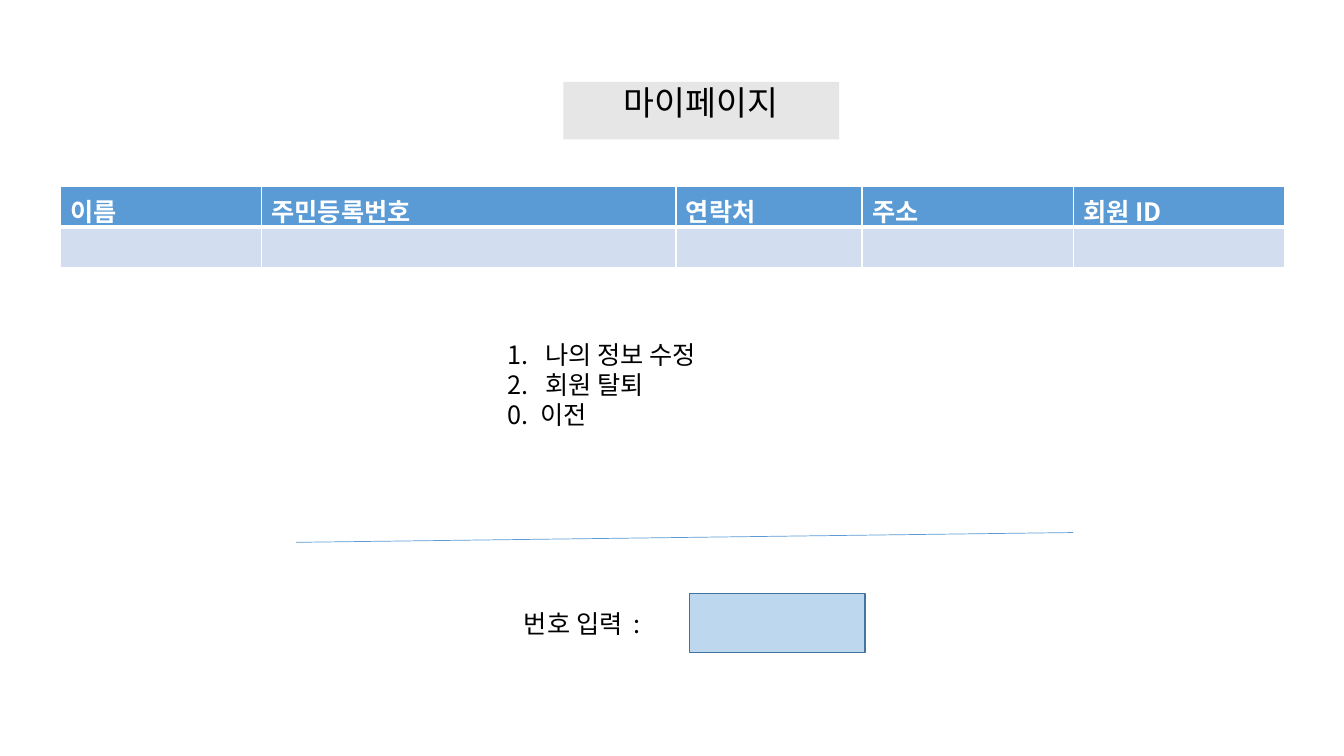
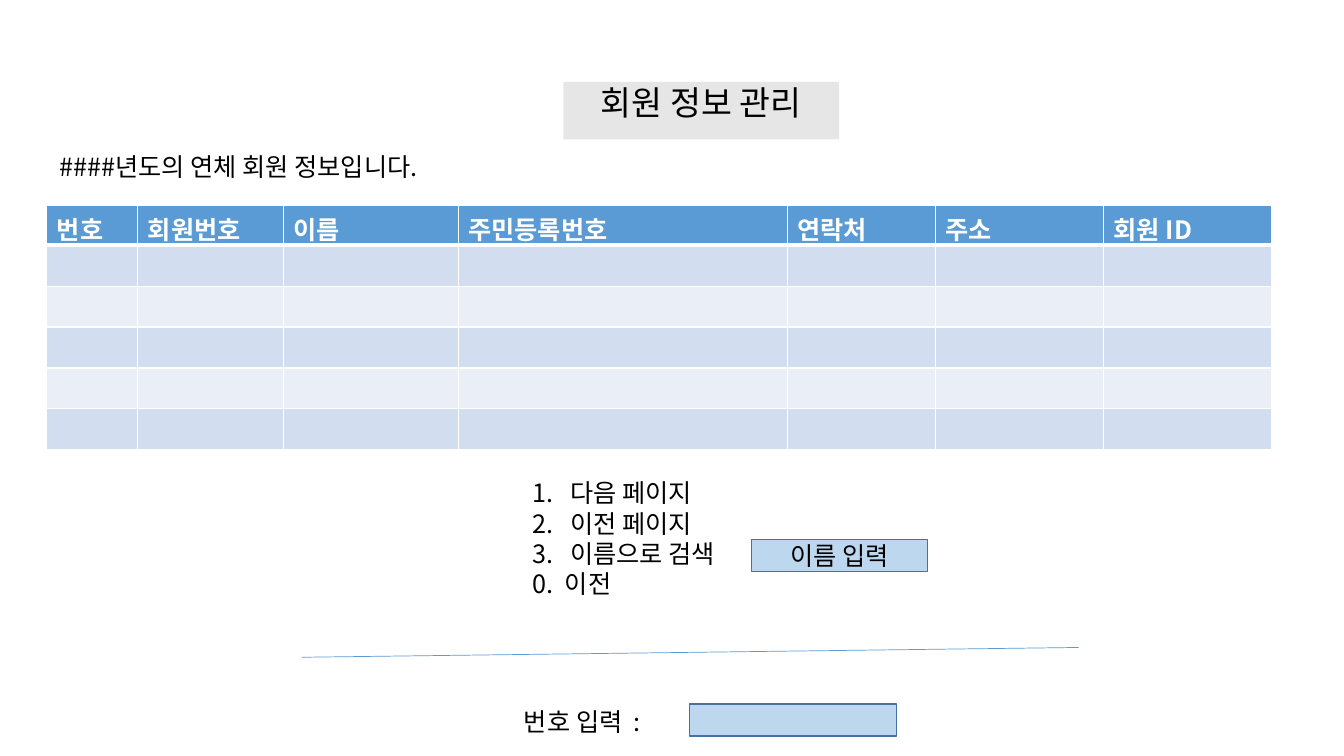
"""Build two member-management console screens."""
from pptx import Presentation
from pptx.dml.color import RGBColor
from pptx.enum import shapes as kinds, text as modes
from pptx.oxml.ns import qn
from pptx.util import Pt
from lxml import etree

FONT = "Noto Sans CJK KR"
BLACK, WHITE, GREY = "000000", "FFFFFF", "E7E6E6"
BLUE, PALE, EDGE = "5B9BD5", "BDD7EE", "43739E"
BANDS = ["EAEFF7", "D2DEEF"]
hue = RGBColor.from_string


def write(para, words, size=18, color=BLACK, bold=False):
    """Add one styled run."""
    run = para.add_run()
    run.text = words
    font = run.font
    font.name, font.size, font.bold = FONT, Pt(size), bold
    font.color.rgb = hue(color)
    etree.SubElement(font._element, qn("a:ea"), typeface=FONT)


def field(slide, left, top, width, height):
    """Add a pale input box and return its paragraph."""
    box = slide.shapes.add_shape(kinds.MSO_SHAPE.RECTANGLE, Pt(left), Pt(top), Pt(width), Pt(height))
    box.shadow.inherit = False
    box.fill.solid()
    box.fill.fore_color.rgb = hue(PALE)
    box.line.color.rgb = hue(EDGE)
    box.line.width = Pt(1)
    box.text_frame.vertical_anchor = modes.MSO_ANCHOR.MIDDLE
    para = box.text_frame.paragraphs[0]
    para.alignment = modes.PP_ALIGN.CENTER
    return para


screens = [
    dict(title="마이페이지", menu=["나의 정보 수정", "회원 탈퇴"], list=(355.5, 238.5, 267, 72.5),
         heads=["이름", "주민등록번호", "연락처", "주소", "회원 ID"],
         cols=[144, 296, 133, 151, 151], rows=1, grid=(42.8, 133.4),
         rule=(211.6, 387.4), ask=430.6, entry=(492.5, 424, 125.5, 42)),
    dict(title="회원 정보 관리", menu=["다음 페이지", "이전 페이지", "이름으로 검색"],
         list=(373.2, 337.6, 267, 94.5),
         heads=["번호", "회원번호", "이름", "주민등록번호", "연락처", "주소", "회원 ID"],
         cols=[65, 104, 125, 235, 106, 120, 120], rows=5, grid=(33.4, 146.4),
         rule=(215.5, 469.5), ask=501.2, entry=(492.5, 502.8, 148, 23),
         note="####년도의 연체 회원 정보입니다."),
]

deck = Presentation()
deck.slide_width, deck.slide_height = Pt(960), Pt(540)

for screen in screens:
    slide = deck.slides.add_slide(deck.slide_layouts[1])
    title, menu = slide.placeholders
    title.left, title.top, title.width, title.height = Pt(402.4), Pt(58.5), Pt(197), Pt(41)
    title.fill.solid()
    title.fill.fore_color.rgb = hue(GREY)
    title.text_frame.vertical_anchor = modes.MSO_ANCHOR.TOP
    title.text_frame.auto_size = modes.MSO_AUTO_SIZE.NONE
    para = title.text_frame.paragraphs[0]
    para.alignment = modes.PP_ALIGN.CENTER
    para.line_spacing, para.space_before = 0.9, Pt(10)
    write(para, screen["title"], 24)

    menu.left, menu.top, menu.width, menu.height = map(Pt, screen["list"])
    frame = menu.text_frame
    frame.auto_size = modes.MSO_AUTO_SIZE.NONE
    items = screen["menu"] + ["0.  이전"]
    for i, item in enumerate(items):
        para = frame.add_paragraph() if i else frame.paragraphs[0]
        para.space_before = Pt(0)
        props = para._p.get_or_add_pPr()
        last = item == items[-1]
        props.set("marL", str(0 if last else Pt(27)))
        props.set("indent", str(0 if last else -Pt(27)))
        if last:
            etree.SubElement(props, qn("a:buNone"))
        else:
            etree.SubElement(props, qn("a:buFont"), typeface=FONT)
            etree.SubElement(props, qn("a:buAutoNum"), type="arabicPeriod")
        write(para, item)

    labels = [("번호 입력  :", 367.2, screen["ask"], 120)]
    if "note" in screen:
        labels.append((screen["note"], 35.3, 104.4, 359))
        write(field(slide, 537, 385.2, 125.5, 23), "이름 입력")
    for words, left, top, width in labels:
        label = slide.shapes.add_textbox(Pt(left), Pt(top), Pt(width), Pt(29))
        label.text_frame.word_wrap = True
        write(label.text_frame.paragraphs[0], words)
    field(slide, *screen["entry"])

    left, top = screen["rule"]
    rule = slide.shapes.add_connector(kinds.MSO_CONNECTOR.STRAIGHT, Pt(left), Pt(top), Pt(left + 555), Pt(top - 7))
    rule.line.color.rgb = hue(BLUE)
    rule.line.width = Pt(0.5)
    etree.SubElement(rule._element.spPr, qn("a:effectLst"))

    cols, count = screen["cols"], screen["rows"] + 1
    left, top = screen["grid"]
    grid = slide.shapes.add_table(count, len(cols), Pt(left), Pt(top), Pt(sum(cols)), Pt(29.2 * count)).table
    for col, width in zip(grid.columns, cols):
        col.width = Pt(width)
    for r, row in enumerate(grid.rows):
        row.height = Pt(29.2 if r else 28)
        for c, cell in enumerate(row.cells):
            props = cell._tc.get_or_add_tcPr()
            for side in "LRTB":
                thick = (side == "B" and r == 0) or (side == "T" and r == 1)
                edge = etree.SubElement(props, qn("a:ln" + side), w=str(Pt(3 if thick else 1)))
                fill = etree.SubElement(edge, qn("a:solidFill"))
                etree.SubElement(fill, qn("a:srgbClr"), val=WHITE)
            cell.fill.solid()
            cell.fill.fore_color.rgb = hue(BANDS[r % 2] if r else BLUE)
            if r == 0:
                write(cell.text_frame.paragraphs[0], screen["heads"][c], 18, WHITE, True)

deck.save("out.pptx")
